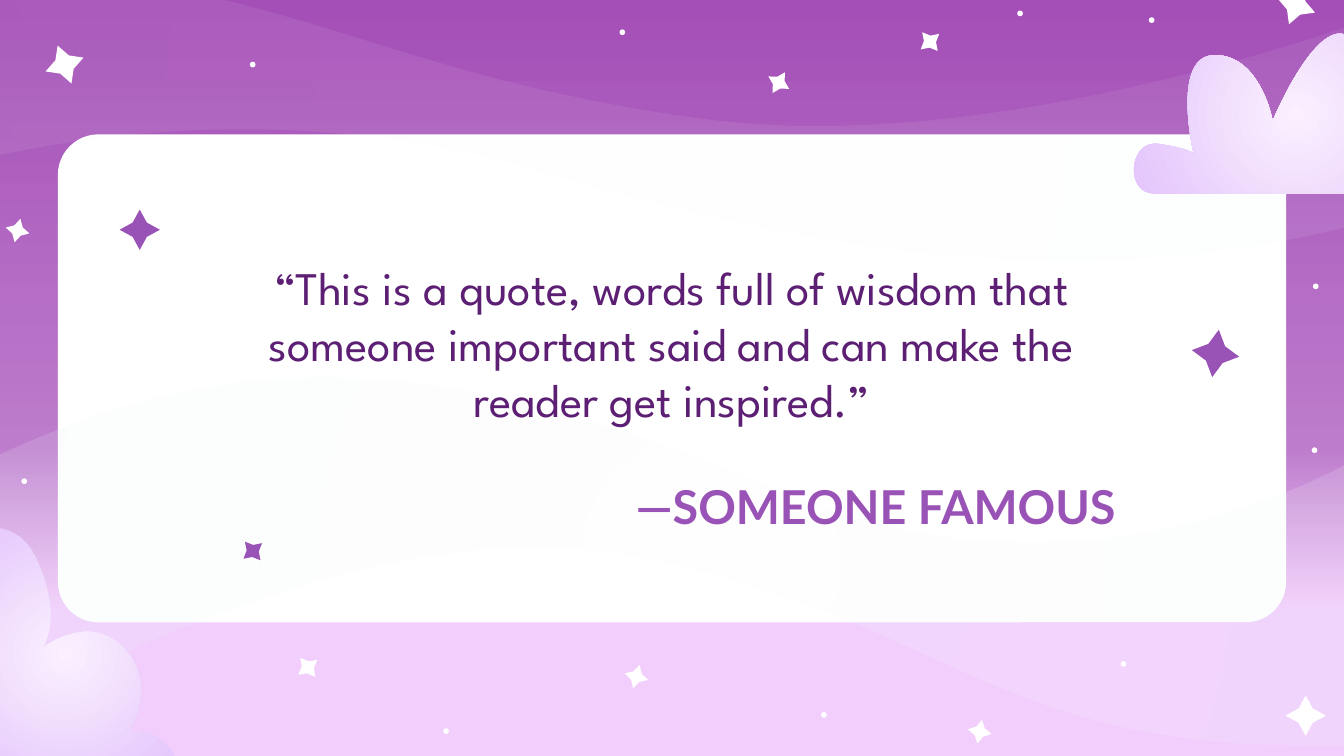
from math import cos, radians, sin

from lxml.etree import SubElement
from pptx import Presentation
from pptx.dml.color import RGBColor
from pptx.enum.shapes import MSO_SHAPE as Preset
from pptx.enum.text import MSO_ANCHOR as Anchor, MSO_AUTO_SIZE as AutoSize, PP_ALIGN as Align
from pptx.oxml.ns import qn
from pptx.util import Pt

# Content: all lengths in points
QUOTE = ("“This is a quote, words full of wisdom that someone important said "
         "and can make the reader get inspired.”")
AUTHOR = "—SOMEONE FAMOUS"
COLORS = {"white": "FFFFFF", "purple": "9952B6", "dark": "5C1F74"}
WIDTH, HEIGHT = 720, 405

# Gradients: position in percent, colour, opacity in percent
SKY = [(0, "F2CEFD", 100), (19, "F3CEFD", 100), (41, "BD7CCC", 100), (100, "A44FB7", 100)]
LOWER_MIST = [(0, "FAFAFA", 17), (100, "EDF2F6", 17)]
UPPER_MIST = [(0, "FAFAFA", 8), (100, "EDF2F6", 8)]
CLOUD = [(0, "FAF0FE", 100), (100, "E3C3FC", 100)]

# Outlines: a start point, then lines (x, y) or cubic curves (two controls and an end)
LOWER_RIBBON = [
    (173.5, 202.3), (108, 202.3, 43.2, 219.6, -28.8, 257.8), (-5.8, 387.4),
    (-5.8, 387.4, 146.9, 293, 288.7, 293), (306.7, 293, 325.4, 294.5, 343.4, 298.1),
    (497.5, 329.8, 529.9, 393.8, 679.7, 398.9), (709.2, 399.6, 729.4, 400.3, 741.6, 400.3),
    (789.8, 400.3, 720, 393.8, 720, 393.8), (730.8, 243.4),
    (730.8, 243.4, 655.9, 290.9, 551.5, 290.9), (509.8, 290.9, 464.4, 283, 416.2, 262.8),
    (326.2, 224.6, 249.1, 202.3, 173.5, 202.3)]
UPPER_RIBBON = [
    (571, 139.7), (648, 139.7, 724.3, 126, 808.6, 95), (780.5, -7.2),
    (780.5, -7.2, 602.6, 67.7, 437, 67.7), (415.4, 67.7, 394.6, 66.2, 373, 63.4),
    (193, 38.2, 155.5, -13, -20.2, -16.6), (-54.7, -17.3, -77.8, -17.3, -92.2, -17.3),
    (-149, -17.3, -67.7, -13, -67.7, -13), (-79.9, 106.6),
    (-79.9, 106.6, 7.2, 69.1, 129.6, 69.1), (178.6, 69.1, 231.8, 74.9, 288, 91.4),
    (393.1, 121.7, 483.1, 139.7, 571, 139.7)]
LEFT_CLOUD = [
    (-2.9, 283), (-12.2, 283, -20.2, 288, -20.2, 288), (-27.4, 413.3),
    (-27.4, 413.3, 14.4, 416.9, 49, 416.9), (74.9, 416.9, 97.2, 414.7, 94.3, 407.5),
    (88.6, 393.1, 75.6, 391.7, 71.3, 391.7), (69.8, 391.7),
    (69.8, 391.7, 85, 365, 65.5, 346.3), (59.8, 340.6, 53.3, 338.4, 46.8, 338.4),
    (33.8, 338.4, 23, 347, 23, 347), (23, 347, 33.8, 331.2, 20.2, 301),
    (14.4, 287.3, 5, 283, -2.9, 283)]
RIGHT_CLOUD = [
    (717.8, 18), (719.3, 18, 721.4, 18.7, 722.9, 19.4), (740.2, 32.4, 725, 69.1, 725, 69.1),
    (725, 69.1, 746.6, 62.6, 758.9, 62.6), (764.6, 62.6, 768.2, 64.1, 765.4, 69.1),
    (756.7, 83.5, 786.2, 97.2, 786.2, 97.2), (759.6, 103.7), (618.5, 103.7),
    (602.6, 103.7, 604.8, 77, 618.5, 77), (619.9, 77),
    (635.8, 79.2, 639.4, 82.1, 639.4, 82.1), (639.4, 82.1, 627.1, 29.5, 650.9, 29.5),
    (675.4, 29.5, 681.8, 64.8, 681.8, 64.8), (681.8, 64.8, 701.3, 18, 717.8, 18)]

# Stars: centre x, centre y, radius, clockwise tilt in degrees
WHITE_STARS = [
    (699.5, 383.4, 10.8, 0), (694.4, 2.9, 10.8, 21), (34.6, 34.6, 10.8, -20),
    (417.2, 44.3, 6.5, 31), (340.9, 362.5, 6.5, 16), (524.9, 392, 6.5, 11),
    (164.9, 357.5, 6.5, -38), (498.2, 22.3, 6.5, -40), (9.4, 123.5, 6.5, 14)]
PURPLE_STARS = [(651.2, 189.4, 12.8, 8), (74.9, 123.1, 10.8, 0), (135.4, 295.2, 6.5, -40)]
DOT_SIZE = 3
DOTS = [(13, 257.8), (704.2, 241.2), (617, 10.8), (546.5, 7.2), (135.4, 34.6),
        (333.4, 17.3), (441.4, 383), (239, 391.7), (601.9, 355.7), (704.9, 153.4)]


def paint(shape, fill):
    """Fill with a named colour or a list of gradient stops."""
    shape.shadow.inherit = False
    shape.line.fill.background()
    if isinstance(fill, str):
        shape.fill.solid()
        shape.fill.fore_color.rgb = RGBColor.from_string(COLORS[fill])
        return
    shape.fill.gradient()
    gradient = shape._element.spPr.find(qn("a:gradFill"))
    for child in list(gradient):
        gradient.remove(child)
    stops = SubElement(gradient, qn("a:gsLst"))
    for position, color, opacity in fill:
        stop = SubElement(stops, qn("a:gs"), pos=str(position * 1000))
        tint = SubElement(stop, qn("a:srgbClr"), val=color)
        if opacity < 100:
            SubElement(tint, qn("a:alpha"), val=str(opacity * 1000))
    if fill is SKY:
        SubElement(gradient, qn("a:lin"), ang=str(270 * 60000), scaled="0")
    else:
        circle = SubElement(gradient, qn("a:path"), path="circle")
        SubElement(circle, qn("a:fillToRect"), l="50000", t="50000", r="50000", b="50000")


def add_preset(shapes, preset, left, top, width, height, fill):
    shape = shapes.add_shape(preset, Pt(left), Pt(top), Pt(width), Pt(height))
    paint(shape, fill)
    return shape


def add_polygon(shapes, points, fill):
    corners = [(Pt(x), Pt(y)) for x, y in points]
    builder = shapes.build_freeform(*corners[0])
    builder.add_line_segments(corners[1:], close=True)
    shape = builder.convert_to_shape()
    paint(shape, fill)
    return shape


def add_outline(shapes, outline, fill):
    """Draw through every point, then join the three points of each curve."""
    points = [pair for part in outline for pair in zip(part[::2], part[1::2])]
    shape = add_polygon(shapes, points, fill)
    lines = iter(list(shape._element.iter(qn("a:lnTo"))))
    for segment in outline[1:]:
        first = next(lines)
        if len(segment) == 2:
            continue
        curve = first.makeelement(qn("a:cubicBezTo"))
        first.addprevious(curve)
        for line in (first, next(lines), next(lines)):
            curve.append(line[0])
            line.getparent().remove(line)


def add_stars(shapes, stars, fill):
    for x, y, radius, tilt in stars:
        points = []
        for corner in range(8):
            reach = radius / 2 if corner % 2 else radius
            angle = radians(tilt + 45 * corner)
            points.append((x + reach * sin(angle), y - reach * cos(angle)))
        add_polygon(shapes, points, fill)


def set_text(shape, box, text, font_name, color, align, bold):
    shape.left, shape.top, shape.width, shape.height = map(Pt, box)
    frame = shape.text_frame
    frame.text = text
    frame.word_wrap = True
    frame.auto_size = AutoSize.NONE
    frame.vertical_anchor = Anchor.MIDDLE
    frame.margin_left = frame.margin_right = frame.margin_top = frame.margin_bottom = Pt(7.2)
    paragraph = frame.paragraphs[0]
    paragraph.alignment = align
    font = paragraph.font
    font.name, font.size, font.bold = font_name, Pt(25), bold
    font.color.rgb = RGBColor.from_string(COLORS[color])


def main():
    presentation = Presentation()
    presentation.slide_width, presentation.slide_height = Pt(WIDTH), Pt(HEIGHT)
    slide = presentation.slides.add_slide(presentation.slide_layouts[5])
    shapes = slide.shapes

    # Sky, card and ribbons of mist
    add_preset(shapes, Preset.RECTANGLE, 0, 0, WIDTH, HEIGHT, SKY)
    card = add_preset(shapes, Preset.ROUNDED_RECTANGLE, 31, 72, 658, 261.4, "white")
    card.adjustments[0] = 0.083
    add_outline(shapes, LOWER_RIBBON, LOWER_MIST)
    add_outline(shapes, UPPER_RIBBON, UPPER_MIST)

    # Stars and dots in the sky
    add_stars(shapes, WHITE_STARS, "white")
    for x, y in DOTS:
        add_preset(shapes, Preset.OVAL, x - DOT_SIZE / 2, y - DOT_SIZE / 2,
                   DOT_SIZE, DOT_SIZE, "white")

    # Author as the title, raised above the card, and the quote
    title = shapes.title
    title._element.getparent().append(title._element)
    set_text(title, (245.5, 252, 359.3, 38.2), AUTHOR, "Lato", "purple", Align.RIGHT, True)
    quote = shapes.add_textbox(0, 0, 0, 0)
    set_text(quote, (114.5, 115.2, 490.3, 136.8), QUOTE, "League Spartan", "dark",
             Align.CENTER, False)

    # Clouds and stars over the card
    add_outline(shapes, LEFT_CLOUD, CLOUD)
    add_outline(shapes, RIGHT_CLOUD, CLOUD)
    add_stars(shapes, PURPLE_STARS, "purple")

    presentation.save("out.pptx")


if __name__ == "__main__":
    main()
